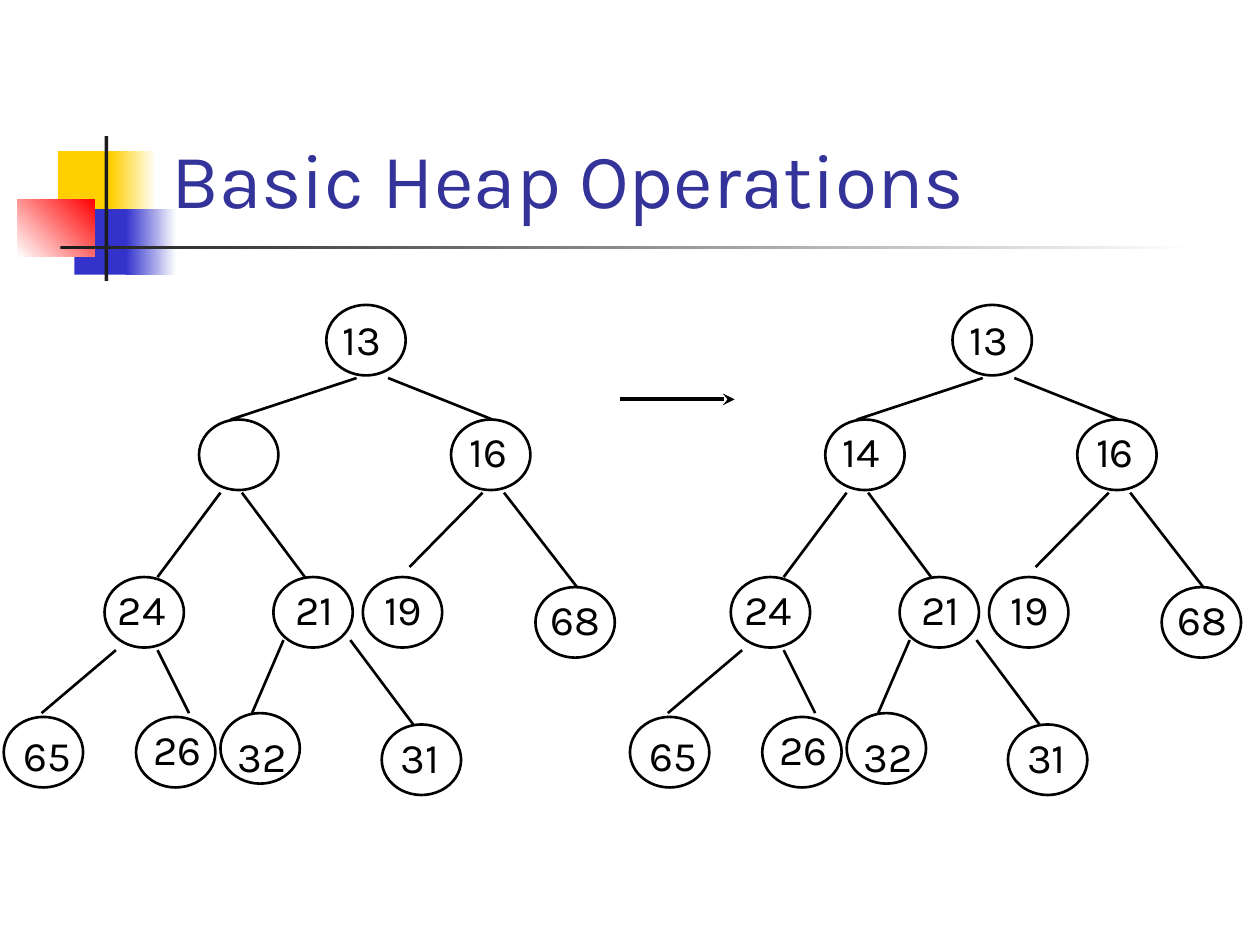
from lxml import etree
from pptx import Presentation
from pptx.dml.color import RGBColor
from pptx.enum.shapes import MSO_CONNECTOR as Connector, MSO_SHAPE as Shape
from pptx.enum.text import MSO_ANCHOR as Anchor, MSO_AUTO_SIZE as AutoSize, PP_ALIGN as Align
from pptx.oxml.ns import qn
from pptx.util import Inches, Pt

COLORS = {
    "white": "FFFFFF", "yellow": "FFCF01", "blue": "3333CC", "red": "FF0000",
    "charcoal": "1C1C1C", "title": "333399", "ink": "000000",
}
FONT = "Karla"
TITLE_ONLY = 5
NODE_WIDTH, NODE_HEIGHT, LABEL_HEIGHT = 0.63, 0.56, 0.5
TREE_OFFSET = 4.97

# left, top, width, height, first color, last color, OOXML gradient angle
ORNAMENT = [
    (0.46, 1.2, 0.48, 0.52, "yellow", None, 0),
    (0.88, 1.2, 0.36, 0.52, "yellow", "white", 0),
    (0.59, 1.66, 0.46, 0.52, "blue", None, 0),
    (1, 1.66, 0.4, 0.52, "blue", "white", 0),
    (0.14, 1.58, 0.61, 0.46, "white", "red", 315),
    (0.83, 1.08, 0.03, 1.15, "charcoal", None, 0),
    (0.48, 1.95, 9, 0.03, "charcoal", "white", 0),
]

# node left, node top, key, label left, label top, label width
NODES = [
    (2.59, 2.42, "13", 2.5, 2.44, 0.75),
    (1.58, 3.33, "14", 1.45, 3.33, 0.83),
    (3.58, 3.33, "16", 3.55, 3.33, 0.66),
    (0.83, 4.58, "24", 0.75, 4.58, 0.75),
    (2.17, 4.58, "21", 2.08, 4.58, 0.83),
    (2.88, 4.58, "19", 2.91, 4.58, 0.58),
    (4.25, 4.66, "68", 4.11, 4.66, 0.92),
    (0.03, 5.69, "65", 0, 5.74, 0.75),
    (1.08, 5.69, "26", 1.08, 5.69, 0.66),
    (1.75, 5.66, "32", 1.58, 5.75, 1),
    (3.03, 5.75, "31", 3, 5.76, 0.67),
]

# from x, from y, to x, to y
EDGES = [
    (2.83, 3, 1.83, 3.33), (3.08, 3, 3.91, 3.33),
    (1.75, 3.91, 1.25, 4.58), (1.92, 3.91, 2.42, 4.58),
    (3.83, 3.91, 3.25, 4.5), (4, 3.91, 4.58, 4.66),
    (0.92, 5.16, 0.33, 5.66), (1.25, 5.16, 1.5, 5.66),
    (2.25, 5.08, 2, 5.66), (2.78, 5.08, 3.28, 5.75),
]


def color(name):
    return RGBColor.from_string(COLORS[name])


def write_text(frame, text, size, ink="ink", align=None, before=None):
    paragraph = frame.paragraphs[0]
    paragraph.alignment = align
    if before is not None:
        paragraph.space_before = Pt(before)
    run = paragraph.add_run()
    run.text = text
    run.font.name, run.font.size = FONT, Pt(size)
    run.font.color.rgb = color(ink)


class HeapSlide:
    """Holds the line and text style and the slide being drawn."""

    def __init__(self, slide, line_width=1.5, key_size=24):
        self.slide = slide
        self.line_width = line_width
        self.key_size = key_size

    def title(self, text, left, top, width, height):
        heading = self.slide.shapes.title
        heading.left, heading.top = Inches(left), Inches(top)
        heading.width, heading.height = Inches(width), Inches(height)
        frame = heading.text_frame
        frame.vertical_anchor = Anchor.BOTTOM
        frame.word_wrap = True
        write_text(frame, text, 44, ink="title", align=Align.LEFT)
        # Bring the heading in front of the ornament
        heading.element.getparent().append(heading.element)

    def block(self, left, top, width, height, first, last, angle):
        """Borderless rectangle, filled plainly or fading from first to last."""
        block = self.slide.shapes.add_shape(
            Shape.RECTANGLE, Inches(left), Inches(top), Inches(width), Inches(height))
        block.shadow.inherit = False
        block.line.fill.background()
        if last is None:
            block.fill.solid()
            block.fill.fore_color.rgb = color(first)
            return
        block.fill.gradient()
        block.fill.gradient_angle = (360 - angle) % 360
        for stop, name in zip(block.fill.gradient_stops, (first, last)):
            stop.color.rgb = color(name)

    def node(self, left, top):
        circle = self.slide.shapes.add_shape(
            Shape.OVAL, Inches(left), Inches(top), Inches(NODE_WIDTH), Inches(NODE_HEIGHT))
        circle.shadow.inherit = False
        circle.fill.background()
        circle.line.color.rgb = color("ink")
        circle.line.width = Pt(self.line_width)

    def key(self, text, left, top, width):
        label = self.slide.shapes.add_textbox(
            Inches(left), Inches(top), Inches(width), Inches(LABEL_HEIGHT))
        frame = label.text_frame
        frame.word_wrap = True
        frame.auto_size = AutoSize.SHAPE_TO_FIT_TEXT
        write_text(frame, text, self.key_size, align=Align.CENTER, before=15)

    def edge(self, x1, y1, x2, y2, width=None, arrow=None):
        edge = self.slide.shapes.add_connector(
            Connector.STRAIGHT, Inches(x1), Inches(y1), Inches(x2), Inches(y2))
        edge.line.color.rgb = color("ink")
        edge.line.width = Pt(width or self.line_width)
        if arrow:
            etree.SubElement(edge.line._get_or_add_ln(), qn("a:tailEnd"), type=arrow)
        etree.SubElement(edge.element.spPr, qn("a:effectLst"))

    def tree(self, offset, hole=None):
        """Draw the heap shifted right by offset, leaving the hole's key blank."""
        for x1, y1, x2, y2 in EDGES:
            self.edge(x1 + offset, y1, x2 + offset, y2)
        for left, top, key, key_left, key_top, key_width in NODES:
            self.node(left + offset, top)
            if key != hole:
                self.key(key, key_left + offset, key_top, key_width)


def main():
    deck = Presentation()
    deck.slide_width, deck.slide_height = Inches(10), Inches(7.5)
    heap = HeapSlide(deck.slides.add_slide(deck.slide_layouts[TITLE_ONLY]))
    for part in ORNAMENT:
        heap.block(*part)
    heap.title("Basic Heap Operations", 1.26, 0.23, 8.52, 1.6)
    heap.tree(0, hole="14")
    heap.edge(4.92, 3.17, 5.83, 3.17, width=2.25, arrow="stealth")
    heap.tree(TREE_OFFSET)
    deck.save("out.pptx")


if __name__ == "__main__":
    main()
